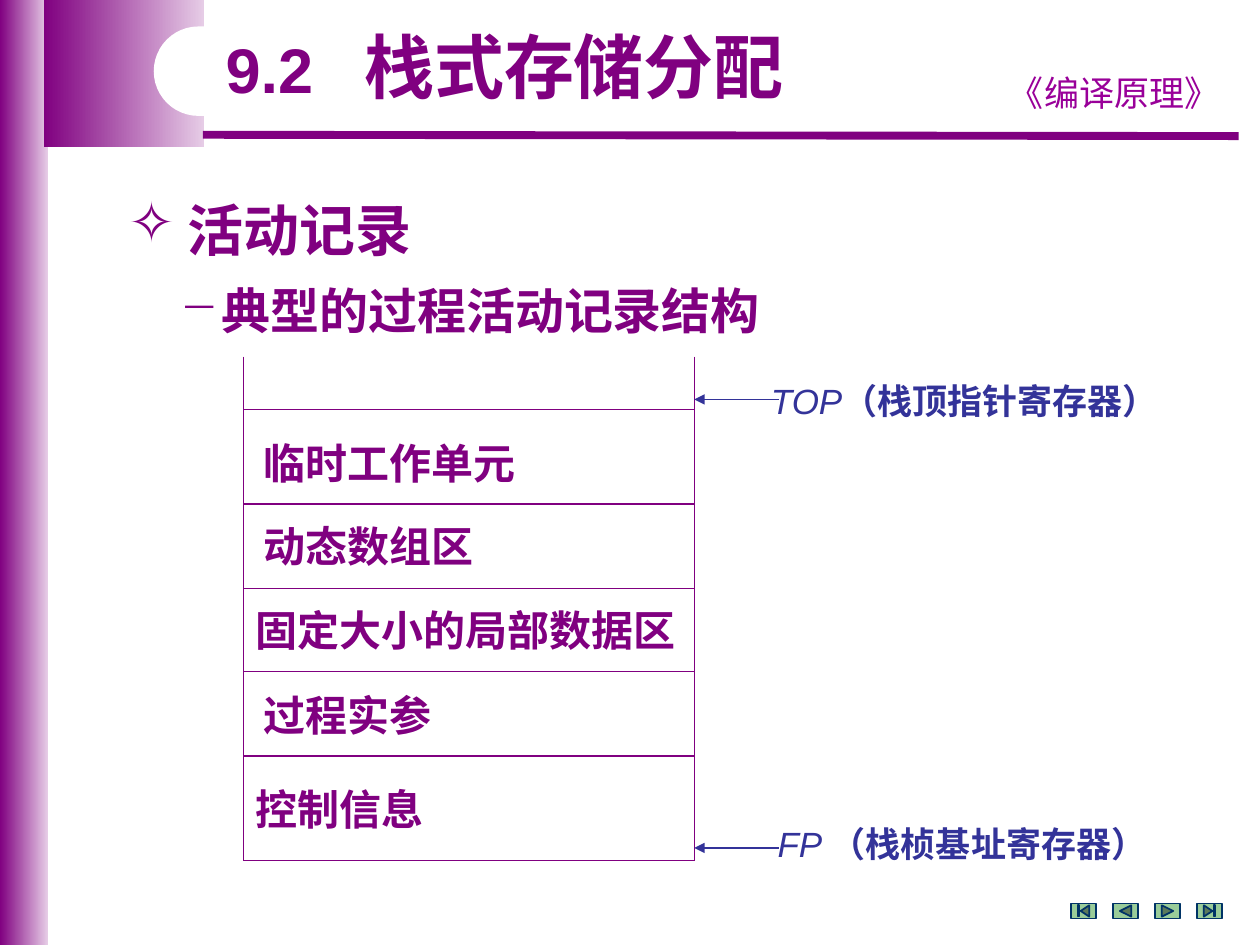
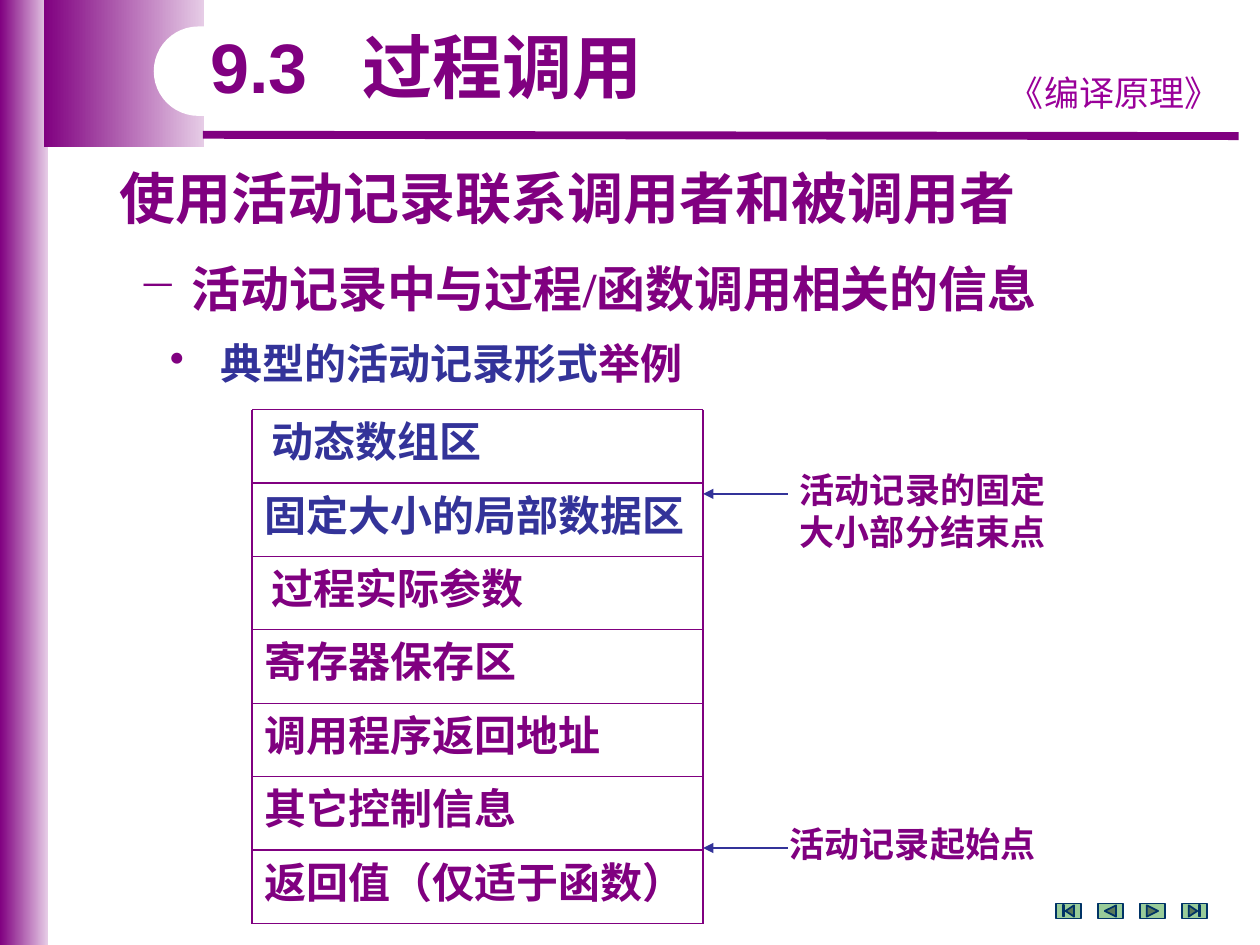
from lxml.etree import SubElement
from pptx import Presentation
from pptx.dml.color import RGBColor
from pptx.enum.shapes import MSO_CONNECTOR, MSO_SHAPE
from pptx.enum.text import MSO_ANCHOR, MSO_AUTO_SIZE, PP_ALIGN
from pptx.oxml.ns import qn
from pptx.util import Inches, Pt

COLORS = {
    "purple": "800080",
    "pale": "E6CCE6",
    "course": "990099",
    "blue": "333399",
    "white": "FFFFFF",
    "button": "99CC99",
    "button_edge": "003366",
}
CJK_FONT = "Noto Sans CJK SC"
NAV_BUTTONS = [
    MSO_SHAPE.ACTION_BUTTON_BEGINNING,
    MSO_SHAPE.ACTION_BUTTON_BACK_OR_PREVIOUS,
    MSO_SHAPE.ACTION_BUTTON_FORWARD_OR_NEXT,
    MSO_SHAPE.ACTION_BUTTON_END,
]


def rgb(name):
    return RGBColor.from_string(COLORS[name])


def box(*lengths):
    return [Inches(length) for length in lengths]


def style_run(run, size, color="purple", font="Arial", bold=True, italic=False):
    run.font.size = Pt(size)
    run.font.bold = bold
    run.font.italic = italic
    run.font.color.rgb = rgb(color)
    run.font.name = font
    SubElement(run.font._element, qn("a:ea"), typeface=CJK_FONT)


def add_run(paragraph, text, size, **style):
    run = paragraph.add_run()
    run.text = text
    style_run(run, size, **style)


def set_bullet(paragraph, char, margin, hang):
    properties = paragraph._p.get_or_add_pPr()
    properties.set("marL", str(Inches(margin)))
    properties.set("indent", str(-Inches(hang)))
    SubElement(properties, qn("a:buChar"), char=char)


def add_text(slide, left, top, width, height, align=PP_ALIGN.LEFT):
    frame = slide.shapes.add_textbox(*box(left, top, width, height)).text_frame
    frame.word_wrap = True
    frame.paragraphs[0].alignment = align
    return frame


def add_label(slide, text, left, top, width, height, size, **style):
    frame = add_text(slide, left, top, width, height, PP_ALIGN.CENTER)
    frame.text = text
    style_run(frame.paragraphs[0].runs[0], size, **style)


def add_register(slide, name, meaning, left, top, width):
    paragraph = add_text(slide, left, top, width, 0.43, PP_ALIGN.CENTER).paragraphs[0]
    add_run(paragraph, name, 20, color="blue", bold=False, italic=True)
    add_run(paragraph, meaning, 20, color="blue")


def add_line(slide, x1, y1, x2, y2, color="purple", weight=0.75):
    line = slide.shapes.add_connector(MSO_CONNECTOR.STRAIGHT, *box(x1, y1, x2, y2))
    line.line.color.rgb = rgb(color)
    line.line.width = Pt(weight)
    SubElement(line._element.spPr, qn("a:effectLst"))
    return line


def add_pointer(slide, frame_right, y):
    pointer = add_line(slide, frame_right + 0.67, y, frame_right, y, "blue")
    SubElement(pointer.line._get_or_add_ln(), qn("a:tailEnd"), type="triangle")


def add_plain_shape(slide, kind, left, top, width, height):
    shape = slide.shapes.add_shape(kind, *box(left, top, width, height))
    shape.shadow.inherit = False
    shape.line.fill.background()
    return shape


def add_band(slide, left, top, width, height):
    band = add_plain_shape(slide, MSO_SHAPE.RECTANGLE, left, top, width, height)
    band.fill.gradient()
    band.fill.gradient_angle = 0
    for stop, position, color in zip(band.fill.gradient_stops, (0, 1), ("purple", "pale")):
        stop.position = position
        stop.color.rgb = rgb(color)


def decorate_layout(layout, slide):
    tree = slide.shapes._spTree
    title = slide.shapes.title._element
    add_band(slide, 0, 0, 0.38, 7.5)
    add_band(slide, 0.35, 0, 1.27, 1.17)
    add_line(slide, 1.61, 1.07, 9.83, 1.08, weight=4.5)
    add_label(slide, "《编译原理》", 7.91, 0.52, 1.97, 0.43, 20,
              color="course", font="Comic Neue", bold=False)
    notch = add_plain_shape(slide, MSO_SHAPE.ROUNDED_RECTANGLE, 1.22, 0.21, 3.62, 0.71)
    notch.adjustments[0] = 0.5
    notch.fill.solid()
    notch.fill.fore_color.rgb = rgb("white")
    decorations = [shape._element for shape in slide.shapes if shape._element is not title]
    for number, element in enumerate(decorations, 100):
        element.xpath(".//p:cNvPr")[0].set("id", str(number))
        tree.remove(element)
        layout.shapes._spTree.append(element)


def set_title(slide, number, number_size, heading, left, width, tab):
    title = slide.shapes.title
    title.left, title.top, title.width, title.height = box(left, 0.21, width, 0.72)
    frame = title.text_frame
    frame.word_wrap = True
    frame.auto_size = MSO_AUTO_SIZE.NONE
    frame.vertical_anchor = MSO_ANCHOR.TOP
    paragraph = frame.paragraphs[0]
    paragraph.alignment = PP_ALIGN.LEFT
    paragraph.line_spacing = 0.9
    tabs = SubElement(paragraph._p.get_or_add_pPr(), qn("a:tabLst"))
    SubElement(tabs, qn("a:tab"), pos=str(Inches(tab)), algn="l")
    add_run(paragraph, number + "\t", number_size)
    add_run(paragraph, heading, 40)


def add_nav_buttons(slide, left):
    for index, kind in enumerate(NAV_BUTTONS):
        button = add_plain_shape(slide, kind, left + index / 3, 7.17, 0.2, 0.12)
        button.fill.solid()
        button.fill.fore_color.rgb = rgb("button")
        button.line.color.rgb = rgb("button_edge")
        button.line.width = Pt(1)


def add_record(slide, left, top, dividers, cells):
    right = left + 3.58
    for x in (left, right):
        add_line(slide, x, top, x, dividers[-1])
    for y in dividers:
        add_line(slide, left, y, right, y)
    for text, inset, cell_top, width, color in cells:
        add_label(slide, text, left + inset, cell_top, width, 0.5, 24, color=color)


def build_stack_slide(slide):
    set_title(slide, "9.2", 36, "栈式存储分配", 1.69, 6.12, 1.1)

    topic = add_text(slide, 0.92, 1.5, 7.33, 0.63).paragraphs[0]
    set_bullet(topic, "✧", 0.47, 0.47)
    add_run(topic, "活动记录", 32)

    subtopic = add_text(slide, 1.33, 2.18, 6.62, 0.57).paragraphs[0]
    set_bullet(subtopic, "−", 0.33, 0.33)
    add_run(subtopic, "典型的", 28, font=CJK_FONT)
    add_run(subtopic, "过程活动记录结构", 28, font="Times New Roman")

    add_record(slide, 1.93, 2.83, [3.25, 4, 4.67, 5.33, 6, 6.83], [
        ("临时工作单元", 0.06, 3.42, 3.44, "purple"),
        ("动态数组区", 0.06, 4.08, 3.53, "purple"),
        ("固定大小的局部数据区", 0, 4.75, 3.58, "purple"),
        ("过程实参", 0.06, 5.42, 3.44, "purple"),
        ("控制信息", 0, 6.17, 3.5, "purple"),
    ])
    for y in (3.17, 6.73):
        add_pointer(slide, 5.51, y)
    add_register(slide, "TOP", "（栈顶指针寄存器）", 6, 2.96, 3.31)
    add_register(slide, "FP ", "（栈桢基址寄存器）", 5.92, 6.48, 3.43)
    add_nav_buttons(slide, 8.5)


def build_call_slide(slide):
    set_title(slide, "9.3", 40, "过程调用", 1.57, 5.77, 1.21)

    topic = add_text(slide, 0.85, 1.25, 8.53, 0.64).paragraphs[0]
    add_run(topic, "使用活动记录联系调用者和被调用者", 32, font="Times New Roman")

    outline = add_text(slide, 1, 2, 8.58, 1.13)
    subtopic = outline.paragraphs[0]
    set_bullet(subtopic, "−", 0.42, 0.42)
    add_run(subtopic, "活动记录中与过程/函数调用相关的信息", 28, font="Times New Roman")
    example = outline.add_paragraph()
    example.level = 1
    example.space_before = Pt(12)
    properties = example._p.get_or_add_pPr()
    bullet_color = SubElement(properties, qn("a:buClr"))
    SubElement(bullet_color, qn("a:srgbClr"), val=COLORS["purple"])
    set_bullet(example, "•", 0.65, 0.4)
    add_run(example, "典型的活动记录形式", 24, color="blue")
    add_run(example, "举例", 24)

    top, bottom = 3.25, 7.33
    fields = [
        ("动态数组区", 0.06, 3.53, "blue"),
        ("固定大小的局部数据区", 0, 3.58, "blue"),
        ("过程实际参数", 0.06, 3.44, "purple"),
        ("寄存器保存区", 0, 3.5, "purple"),
        ("调用程序返回地址", 0, 3.5, "purple"),
        ("其它控制信息", 0, 3.5, "purple"),
        ("返回值（仅适于函数）", 0, 3.55, "purple"),
    ]
    pitch = (bottom - top) / len(fields)
    dividers = [top + row * pitch for row in range(len(fields) + 1)]
    cells = [(text, inset, y, width, color)
             for (text, inset, width, color), y in zip(fields, dividers)]
    add_record(slide, 2, top, dividers, cells)

    for y in (3.92, 6.73):
        add_pointer(slide, 5.58, y)
    add_label(slide, "活动记录的固定大小部分结束点", 6.25, 3.67, 2.29, 0.77, 20)
    add_label(slide, "活动记录起始点", 6.17, 6.48, 2.38, 0.43, 20)
    add_nav_buttons(slide, 8.38)


def main():
    deck = Presentation()
    deck.slide_width, deck.slide_height = box(10, 7.5)
    layout = deck.slide_layouts[5]
    stack_slide = deck.slides.add_slide(layout)
    decorate_layout(layout, stack_slide)
    build_stack_slide(stack_slide)
    build_call_slide(deck.slides.add_slide(layout))
    deck.save("out.pptx")


if __name__ == "__main__":
    main()
